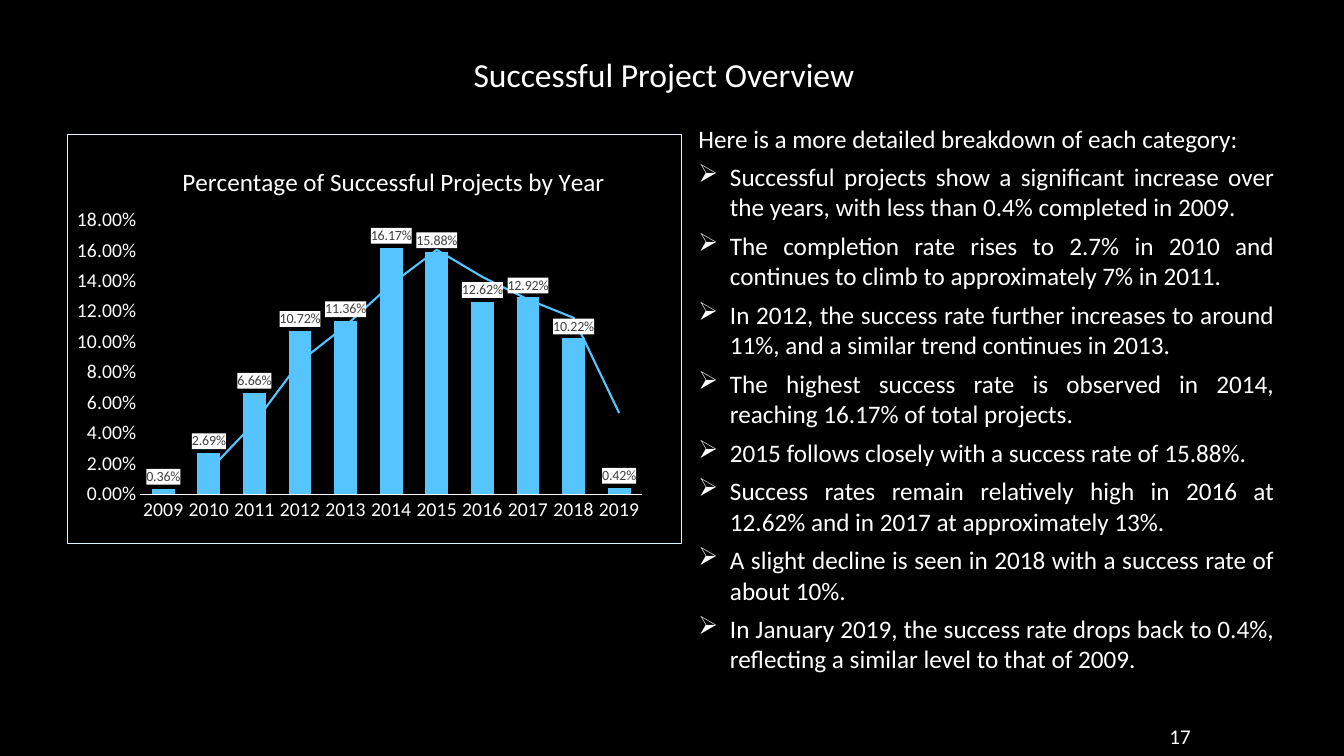
"""Build the slide on the share of successful projects by year."""
from dataclasses import dataclass

from lxml import etree
from pptx import Presentation
from pptx import util as u
from pptx.chart.data import CategoryChartData
from pptx.dml.color import RGBColor
from pptx.enum import chart as c, text as t
from pptx.oxml import parse_xml
from pptx.oxml.ns import nsdecls, qn

COLORS = {"back": "000000", "text": "FFFFFF", "bar": "56C5FF",
          "frame": "DDF3FF", "label": "404040"}
FONT = "Calibri"
PERCENT = "0.00%"
FIRST_YEAR = 2009
SHARES = [0.0036, 0.0269, 0.0666, 0.1072, 0.1136, 0.1617,
          0.1588, 0.1262, 0.1292, 0.1022, 0.0042]
FINDINGS = [
    "Successful projects show a significant increase over the years, with less than 0.4% completed in 2009.",
    "The completion rate rises to 2.7% in 2010 and continues to climb to approximately 7% in 2011.",
    "In 2012, the success rate further increases to around 11%, and a similar trend continues in 2013.",
    "The highest success rate is observed in 2014, reaching 16.17% of total projects.",
    "2015 follows closely with a success rate of 15.88%.",
    "Success rates remain relatively high in 2016 at 12.62% and in 2017 at approximately 13%.",
    "A slight decline is seen in 2018 with a success rate of about 10%.",
    "In January 2019, the success rate drops back to 0.4%, reflecting a similar level to that of 2009.",
]


@dataclass
class TextBlock:
    left: float
    top: float
    width: float
    height: float
    size: float
    lines: list[str]
    align: t.PP_ALIGN = t.PP_ALIGN.LEFT
    anchor: t.MSO_ANCHOR = t.MSO_ANCHOR.TOP
    space_after: float = 0
    bullet: str = ""


BLOCKS = [
    TextBlock(826.6, 512, 31, 28, 15, ["17"], t.PP_ALIGN.RIGHT, t.MSO_ANCHOR.MIDDLE),
    TextBlock(331.2, 35.3, 297.4, 42.5, 24, ["Successful Project Overview"]),
    TextBlock(491.8, 84.2, 425.5, 404.6, 18,
              ["Here is a more detailed breakdown of each category:", *FINDINGS],
              t.PP_ALIGN.JUSTIFY, space_after=6, bullet="➢"),
]


def color(name: str) -> RGBColor:
    return RGBColor.from_string(COLORS[name])


def set_font(font, size: float, name: str = "text") -> None:
    font.name, font.size, font.bold = FONT, u.Pt(size), False
    font.color.rgb = color(name)


def add_block(page, block: TextBlock) -> None:
    box = page.shapes.add_textbox(*map(u.Pt, (block.left, block.top, block.width, block.height)))
    frame = box.text_frame
    frame.word_wrap = True
    frame.vertical_anchor = block.anchor
    for index, line in enumerate(block.lines):
        para = frame.add_paragraph() if index else frame.paragraphs[0]
        para.text = line
        para.alignment = block.align
        para.space_after = u.Pt(block.space_after)
        if block.bullet and index:
            props = para._p.get_or_add_pPr()
            props.set("marL", str(u.Pt(22.5)))
            props.set("indent", str(-u.Pt(22.5)))
            mark = etree.SubElement(props, qn("a:buChar"))
            mark.set("char", block.bullet)
        set_font(para.font, block.size)


def shape_props(fill: str = "", line: str = "", width: float = 0.75):
    def solid(name: str) -> str:
        return f'<a:solidFill><a:srgbClr val="{COLORS[name]}"/></a:solidFill>'

    paint = solid(fill) if fill else "<a:noFill/>"
    stroke = solid(line) if line else "<a:noFill/>"
    return parse_xml(f'<c:spPr {nsdecls("c", "a")}>{paint}'
                     f'<a:ln w="{u.Pt(width)}">{stroke}</a:ln></c:spPr>')


def manual_layout(parts: dict[str, str | float]):
    layout = parse_xml(f'<c:layout {nsdecls("c")}><c:manualLayout/></c:layout>')
    for key, value in parts.items():
        etree.SubElement(layout[0], qn(f"c:{key}")).set("val", str(value))
    return layout


def place(parent, position: int, parts: dict[str, str | float]) -> None:
    for old in parent.findall(qn("c:layout")):
        parent.remove(old)
    parent.insert(position, manual_layout(parts))


def add_share_chart(page) -> None:
    data = CategoryChartData(number_format=PERCENT)
    data.categories = [str(FIRST_YEAR + step) for step in range(len(SHARES))]
    data.add_series("Series 1", SHARES)
    chart = page.shapes.add_chart(c.XL_CHART_TYPE.COLUMN_CLUSTERED,
                                  *map(u.Pt, (47.8, 96, 439.2, 292.3)), data).chart
    set_font(chart.font, 10)
    chart.has_legend = False
    chart._chartSpace.find(qn("c:chart")).addnext(shape_props(line="frame"))

    chart.has_title = True
    heading = chart.chart_title.text_frame.paragraphs[0]
    heading.text = "Percentage of Successful Projects by Year"
    set_font(heading.font, 18)
    edges = {"xMode": "edge", "yMode": "edge"}
    place(chart.chart_title._element, 1, {**edges, "x": 0.18, "y": 0.06})
    place(chart._chartSpace.chart.plotArea, 0,
          {"layoutTarget": "inner", **edges, "x": 0.119, "y": 0.208, "w": 0.817, "h": 0.672})

    for axis in (chart.category_axis, chart.value_axis):
        axis.has_major_gridlines = False
        axis.major_tick_mark = axis.minor_tick_mark = c.XL_TICK_MARK.NONE
        set_font(axis.tick_labels.font, 14)
    chart.category_axis.format.line.color.rgb = color("text")
    chart.category_axis.format.line.width = u.Pt(0.75)
    values = chart.value_axis
    values.format.line.fill.background()
    values.minimum_scale, values.maximum_scale, values.major_unit = 0, 0.18, 0.02
    values.tick_labels.number_format = PERCENT
    values.tick_labels.number_format_is_linked = False

    plot = chart.plots[0]
    plot.gap_width, plot.overlap, plot.vary_by_categories = 100, 11, False
    series = plot.series[0]
    series.format.fill.solid()
    series.format.fill.fore_color.rgb = color("bar")
    labels = series.data_labels
    labels.show_value = True
    labels.position = c.XL_LABEL_POSITION.OUTSIDE_END
    labels.number_format, labels.number_format_is_linked = PERCENT, False
    set_font(labels.font, 10, "label")
    label_xml = labels._element
    label_xml.find(qn("c:numFmt")).addnext(shape_props(fill="text"))

    trend = parse_xml(f'<c:trendline {nsdecls("c")}><c:trendlineType val="movingAvg"/>'
                      '<c:period val="2"/><c:dispRSqr val="0"/><c:dispEq val="0"/></c:trendline>')
    trend.insert(0, shape_props(line="bar", width=1.5))
    label_xml.addnext(trend)


def main() -> None:
    deck = Presentation()
    deck.slide_width, deck.slide_height = u.Pt(960), u.Pt(540)
    page = deck.slides.add_slide(deck.slide_layouts[6])
    page.background.fill.solid()
    page.background.fill.fore_color.rgb = color("back")
    add_share_chart(page)
    for block in BLOCKS:
        add_block(page, block)
    deck.save("out.pptx")


if __name__ == "__main__":
    main()
